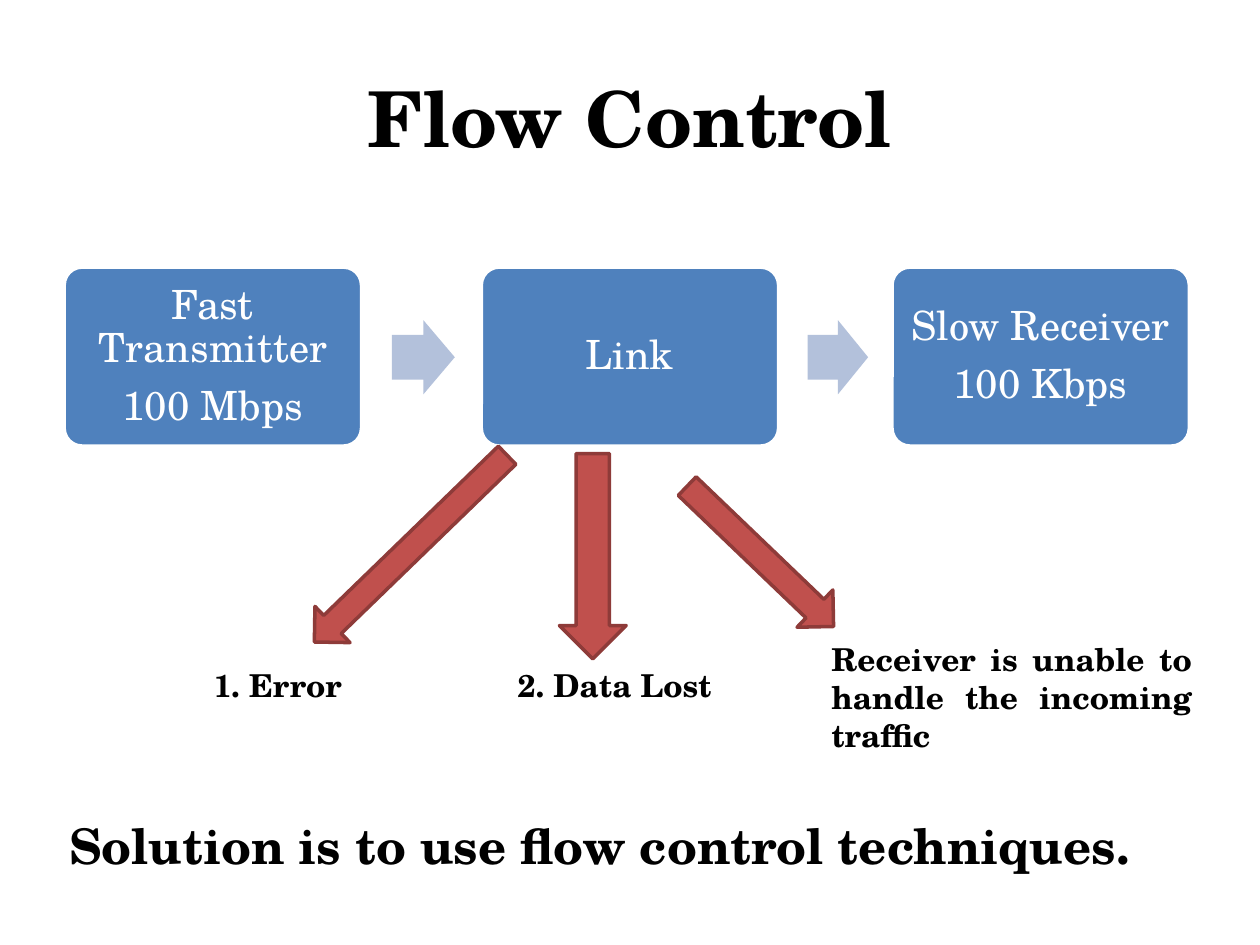
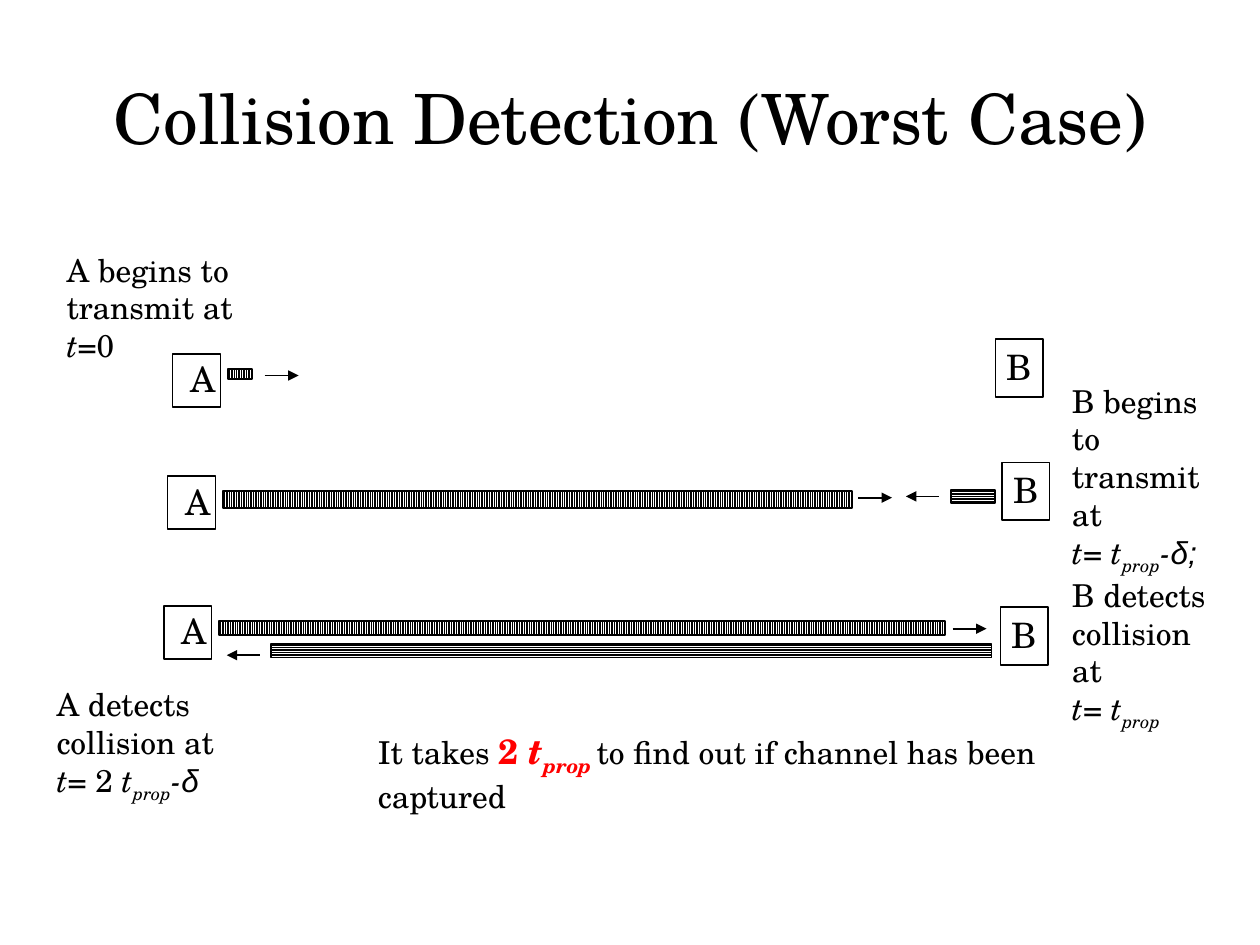
import pptx
import pptx.dml.color
import pptx.enum.dml
import pptx.enum.shapes
import pptx.enum.text
import pptx.oxml
import pptx.oxml.ns
import pptx.util
from lxml import etree

PX = 9144  # 100 px to the inch
FONT = "TeX Gyre Schola"
COLORS = {
    "text": "000000",
    "white": "FFFFFF",
    "box": "4F81BD",
    "flow": "B3C1DB",
    "problem": "C0504D",
    "problem_line": "8E3B39",
    "accent": "FF0000",
}
SHAPE = pptx.enum.shapes.MSO_SHAPE
ALIGN = pptx.enum.text.PP_ALIGN
ANCHOR = pptx.enum.text.MSO_ANCHOR
PATTERN = pptx.enum.dml.MSO_PATTERN
TITLE_BOX = (50, 30, 900, 125)

# Runs of the time formulas
T = ("t", {"italic": True})
PROP = ("prop", {"italic": True, "sub": True})
MINUS = ("-", {"italic": True})


def delta(text):
    return (text, {"italic": True, "font": "Arial"})


def px(n):
    return pptx.util.Emu(round(n * PX))


def rgb(name):
    return pptx.dml.color.RGBColor.from_string(COLORS[name])


def add_run(p, text, size, color="text", bold=False, italic=False,
            sub=False, font=FONT):
    r = p.add_run()
    r.text = text
    r.font.size = pptx.util.Pt(size)
    r.font.name = font
    r.font.bold = bold
    r.font.italic = italic
    r.font.color.rgb = rgb(color)
    if sub:
        r.font._element.set("baseline", "-25000")


def write(sp, paragraphs, size, align=ALIGN.LEFT, anchor=ANCHOR.TOP,
          insets=(10, 5, 10, 5), spacing=None, after=None, **style):
    """Fill a shape; a paragraph is a string or a list of (text, style) runs."""
    tf = sp.text_frame
    tf.word_wrap = True
    tf.vertical_anchor = anchor
    tf.margin_left, tf.margin_top, tf.margin_right, tf.margin_bottom = map(px, insets)
    for i, runs in enumerate(paragraphs):
        p = tf.paragraphs[0] if i == 0 else tf.add_paragraph()
        p.alignment = align
        p.line_spacing = spacing
        if after:
            p.space_after = pptx.util.Pt(after)
        if isinstance(runs, str):
            runs = [(runs, {})]
        for text, own in runs:
            add_run(p, text, **{"size": size, **style, **own})


def add_text(s, box, paragraphs, size, **style):
    sp = s.shapes.add_textbox(*map(px, box))
    write(sp, paragraphs, size, **style)


def add_box(s, kind, box, fill=None, line=None, width=1, pattern=None, adjust=()):
    sp = s.shapes.add_shape(kind, *map(px, box))
    sp.shadow.inherit = False
    for i, value in enumerate(adjust):
        sp.adjustments[i] = value
    if pattern:
        sp.fill.patterned()
        sp.fill.pattern = pattern
        sp.fill.fore_color.rgb = rgb("white")
        sp.fill.back_color.rgb = rgb("text")
    elif fill:
        sp.fill.solid()
        sp.fill.fore_color.rgb = rgb(fill)
    else:
        sp.fill.background()
    if line:
        sp.line.color.rgb = rgb(line)
        sp.line.width = pptx.util.Pt(width)
    else:
        sp.line.fill.background()
    return sp


def add_arrow(s, x1, x2, y):
    c = s.shapes.add_connector(pptx.enum.shapes.MSO_CONNECTOR.STRAIGHT,
                               px(x1), px(y), px(x2), px(y))
    c.line.color.rgb = rgb("text")
    c.line.width = pptx.util.Pt(1)
    ln = c.line._get_or_add_ln()
    etree.SubElement(ln, pptx.oxml.ns.qn("a:tailEnd"), type="triangle")
    etree.SubElement(c._element.spPr, pptx.oxml.ns.qn("a:effectLst"))


def new_slide(prs, title, size, bold=False):
    s = prs.slides.add_slide(prs.slide_layouts[6])
    add_text(s, TITLE_BOX, [title], size, bold=bold,
             align=ALIGN.CENTER, anchor=ANCHOR.MIDDLE)
    return s


def transmission_chain(s, left, top):
    """Three stations with flow arrows between them."""
    stations = [
        (0, ["Fast Transmitter", "100 Mbps"]),
        (331, ["Link"]),
        (657, ["Slow Receiver", "100 Kbps"]),
    ]
    for x, lines in stations:
        sp = add_box(s, SHAPE.ROUNDED_RECTANGLE, (left + x, top, 236, 142),
                     "box", "white", 2, adjust=[0.1])
        write(sp, lines, 23, color="white", align=ALIGN.CENTER,
              anchor=ANCHOR.MIDDLE, insets=(8, 10, 8, 10), spacing=0.9, after=8)
    for x, w in [(260, 50), (590, 48)]:
        add_box(s, SHAPE.RIGHT_ARROW, (left + x, top + 42, w, 59),
                "flow", adjust=[0.6, 0.5])


def link_problems(s, left, top):
    """Arrows fanning out from the link, each to a labelled problem."""
    arrows = [
        ((146, 0, 40, 213), 45.9),
        ((284, 31, 53, 163), 0),
        ((423, 32, 41, 161), 313.8),
    ]
    labels = [
        ((0, 195, 150, 40), "1. Error", ALIGN.LEFT),
        ((241, 195, 210, 40), "2. Data Lost", ALIGN.LEFT),
        ((490, 174, 306, 101),
         "Receiver is unable to handle the incoming traffic", ALIGN.JUSTIFY),
    ]
    for (x, y, w, h), angle in arrows:
        sp = add_box(s, SHAPE.DOWN_ARROW, (left + x, top + y, w, h),
                     "problem", "problem_line", 2)
        sp.rotation = angle
    for (x, y, w, h), text, align in labels:
        add_text(s, (left + x, top + y, w, h), [text], 18, bold=True, align=align)


def station(s, name, x, y, height, insets):
    sp = add_box(s, SHAPE.RECTANGLE, (x, y, 38, height), line="text")
    write(sp, [name], 20, insets=insets)


def signal_row(s, left, top, a_x, b_at, bars, arrows):
    """One moment on the channel: stations A and B, signals and directions."""
    station(s, "A", left + a_x, top, 42, (14, 3, 0, 0))
    station(s, "B", left + b_at[0], top + b_at[1], 46, (9, 5, 0, 0))
    for pattern, (x, y, w, h) in bars:
        add_box(s, SHAPE.RECTANGLE, (left + x, top + y, w, h),
                line="text", pattern=pattern)
    for x1, x2, y in arrows:
        add_arrow(s, left + x1, left + x2, top + y)


def channel_timeline(s, left, top):
    from_a, from_b = PATTERN.LIGHT_VERTICAL, PATTERN.LIGHT_HORIZONTAL
    signal_row(s, left, top, 7, (660, -12),
               [(from_a, (51, 12, 19, 8))],
               [(80, 107, 17)])
    signal_row(s, left, top + 97, 3, (665, -11),
               [(from_a, (47, 12, 499, 13)), (from_b, (625, 11, 35, 10))],
               [(551, 578, 17), (615, 589, 16)])
    signal_row(s, left, top + 200, 0, (664, 1),
               [(from_a, (44, 12, 576, 11)), (from_b, (85, 30, 572, 11))],
               [(626, 653, 18), (76, 50, 39)])


def timeline_notes(s):
    # Wide enough to keep each phrase on one line, above station A
    add_text(s, (43, 194, 165, 100),
             ["A begins to", "transmit at", [T, ("=0", {})]], 18)
    add_text(s, (841, 298, 140, 190),
             ["B begins to", "transmit at",
              [T, ("= ", {}), T, PROP, MINUS, delta("δ;")],
              "B detects", "collision at",
              [T, ("= ", {}), T, PROP]], 18)
    add_text(s, (35, 539, 172, 100),
             ["A detects", "collision at",
              [T, ("= 2 ", {}), T, PROP, MINUS, delta("δ")]], 18)


def conclusion(s, box):
    accent = {"size": 20, "color": "accent", "bold": True}
    add_text(s, box, [[
        ("It takes ", {}),
        ("2 ", accent),
        ("t", {**accent, "italic": True}),
        ("prop", {**accent, "italic": True, "sub": True}),
        (" ", {"italic": True, "sub": True}),
        ("to find out if channel has been captured", {}),
    ]], 18)


def flow_control_slide(prs):
    s = new_slide(prs, "Flow Control", 44, bold=True)
    transmission_chain(s, 51, 212)
    link_problems(s, 160, 329)
    add_text(s, (45, 642, 880, 57),
             ["Solution is to use flow control techniques."], 28, bold=True)


def collision_slide(prs):
    s = new_slide(prs, "Collision Detection (Worst Case)", 39.6)
    channel_timeline(s, 130, 281)
    timeline_notes(s)
    conclusion(s, (290, 574, 561, 43))


def main():
    prs = pptx.Presentation()
    prs.slide_width, prs.slide_height = px(1000), px(750)
    flow_control_slide(prs)
    collision_slide(prs)
    prs.save("out.pptx")


if __name__ == "__main__":
    main()
